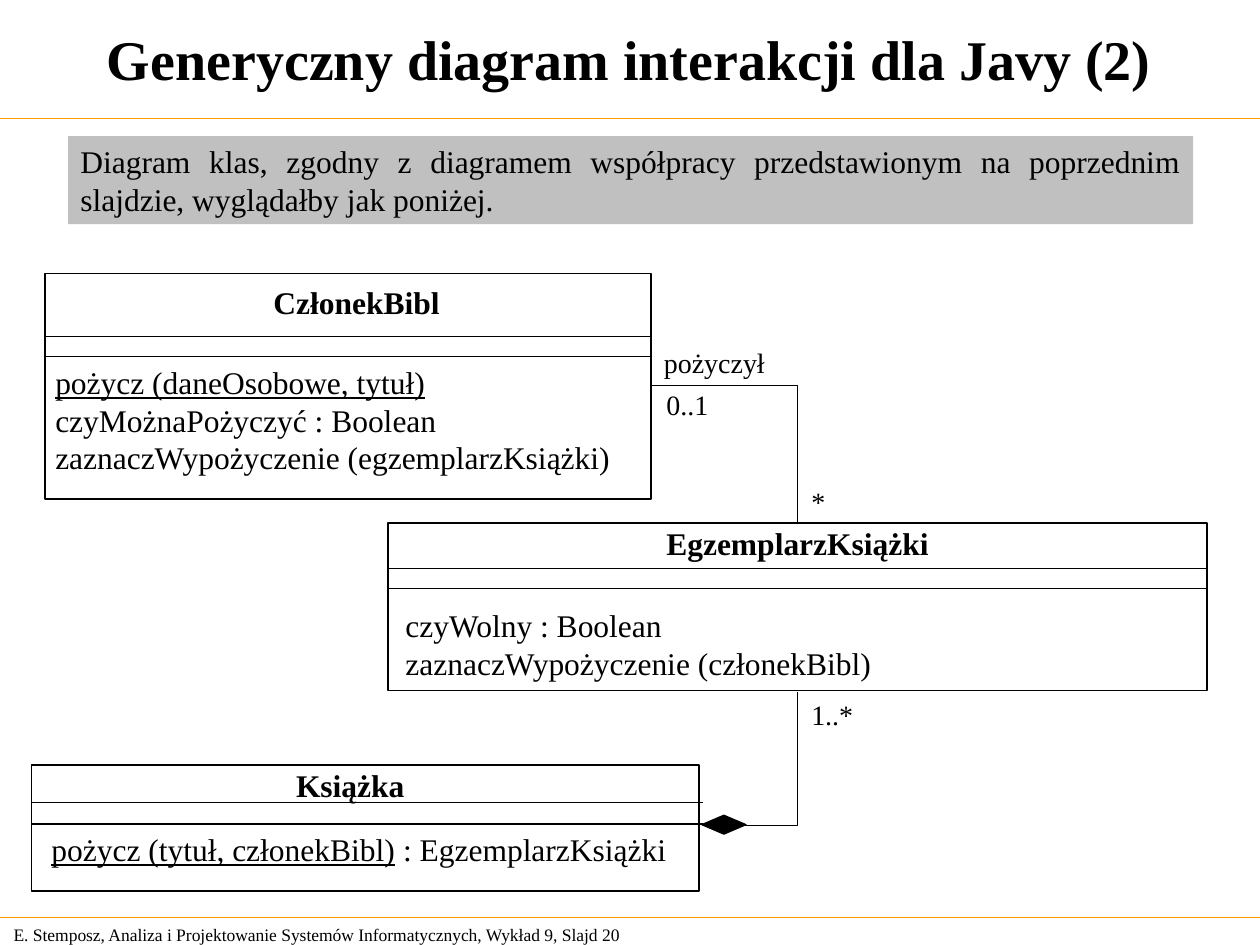
"""Build a lecture slide with a UML class diagram of a library."""
from dataclasses import dataclass

import pptx
import pptx.dml.color
import pptx.enum.shapes
import pptx.enum.text
import pptx.oxml.ns
import pptx.oxml.xmlchemy
import pptx.util

COLUMNS, ROWS = 100, 75
WIDTH, HEIGHT = pptx.util.Inches(10), pptx.util.Inches(7.5)
FONT = "Times New Roman"
BLACK, ORANGE, GREY = "000000", "FF9900", "C0C0C0"
ALIGN = pptx.enum.text.PP_ALIGN
ANCHOR = pptx.enum.text.MSO_ANCHOR
SHAPE = pptx.enum.shapes.MSO_SHAPE
CONNECTOR = pptx.enum.shapes.MSO_CONNECTOR


@dataclass(frozen=True)
class Area:
    """A rectangle in grid columns and rows."""
    column: float
    row: float
    columns: float
    rows: float

    def emu(self) -> tuple:
        """Return left, top, width and height as lengths."""
        return x(self.column), y(self.row), x(self.columns), y(self.rows)


@dataclass(frozen=True)
class Span:
    """A piece of text, underlined for a class-level operation."""
    text: str
    underline: bool = False


@dataclass(frozen=True)
class Label:
    """A text with its place and style."""
    area: Area
    lines: tuple
    size: float = 18
    bold: bool = False
    align: ALIGN = ALIGN.CENTER
    anchor: ANCHOR = ANCHOR.TOP
    wrap: bool = False
    space: float = 0


@dataclass(frozen=True)
class ClassBox:
    """A UML class with two dividers, a name and its operations."""
    area: Area
    dividers: tuple
    divider_end: float
    name: Label
    operations: Label


def x(columns: float) -> int:
    """Turn grid columns into a length."""
    return round(WIDTH * columns / COLUMNS)


def y(rows: float) -> int:
    """Turn grid rows into a length."""
    return round(HEIGHT * rows / ROWS)


def colour(code: str) -> pptx.dml.color.RGBColor:
    """Turn a hex string into a colour."""
    return pptx.dml.color.RGBColor.from_string(code)


def write(box, label: Label) -> None:
    """Fill a box with the lines of a label."""
    frame = box.text_frame
    frame.word_wrap = label.wrap
    frame.vertical_anchor = label.anchor
    for index, line in enumerate(label.lines):
        para = frame.add_paragraph() if index else frame.paragraphs[0]
        para.alignment = label.align
        para.space_after = pptx.util.Pt(label.space)
        para.font.name = FONT
        para.font.size = pptx.util.Pt(label.size)
        para.font.bold = label.bold
        para.font.color.rgb = colour(BLACK)
        for span in line:
            run = para.add_run()
            run.text = span.text
            if span.underline:
                run.font.underline = True


def draw_label(page, label: Label) -> None:
    """Draw a label as a text box."""
    write(page.shapes.add_textbox(*label.area.emu()), label)


def draw_shape(page, kind: SHAPE, area: Area, fill: str = "", line: float = 0):
    """Draw a preset shape with an optional fill and black outline."""
    shape = page.shapes.add_shape(kind, *area.emu())
    shape.shadow.inherit = False
    if fill:
        shape.fill.solid()
        shape.fill.fore_color.rgb = colour(fill)
    else:
        shape.fill.background()
    if line:
        shape.line.color.rgb = colour(BLACK)
        shape.line.width = pptx.util.Pt(line)
    else:
        shape.line.fill.background()
    return shape


def draw_line(page, start: tuple, end: tuple, code: str = BLACK, bent: bool = False) -> None:
    """Draw a straight line, or one that turns once at a right angle."""
    kind = CONNECTOR.ELBOW if bent else CONNECTOR.STRAIGHT
    line = page.shapes.add_connector(kind, x(start[0]), y(start[1]), x(end[0]), y(end[1]))
    line.line.color.rgb = colour(code)
    line.line.width = pptx.util.Pt(0.75)
    properties = line._element.spPr
    properties.append(pptx.oxml.xmlchemy.OxmlElement("a:effectLst"))
    if bent:
        properties.find(pptx.oxml.ns.qn("a:prstGeom")).set("prst", "bentConnector2")


def draw_class(page, item: ClassBox) -> None:
    """Draw a class with its compartments."""
    draw_shape(page, SHAPE.RECTANGLE, item.area, line=1)
    for row in item.dividers:
        draw_line(page, (item.area.column, row), (item.divider_end, row))
    draw_label(page, item.name)
    draw_label(page, item.operations)


def name(area: Area, text: str) -> Label:
    """Describe the bold name of a class."""
    return Label(area, ((Span(text),),), bold=True)


def operations(area: Area, *lines: tuple, wrap: bool = False) -> Label:
    """Describe the operations of a class."""
    return Label(area, lines, align=ALIGN.LEFT, wrap=wrap)


CLASSES = (
    ClassBox(Area(3.6, 21.7, 48.1, 17.9), (26.7, 28.3), 51.7,
             name(Area(20.7, 22, 15.2, 4), "CzłonekBibl"),
             operations(Area(3.4, 28.3, 46.2, 10),
                        (Span("pożycz (daneOsobowe, tytuł)", True),),
                        (Span("czyMożnaPożyczyć : Boolean"),),
                        (Span("zaznaczWypożyczenie (egzemplarzKsiążki)"),))),
    ClassBox(Area(2.5, 60.7, 53, 10), (63.7, 65.4), 55.8,
             name(Area(22.5, 60.3, 10.6, 4), "Książka"),
             operations(Area(3.1, 65.4, 50.8, 4),
                        (Span("pożycz (tytuł, członekBibl)", True),
                         Span(" : EgzemplarzKsiążki")))),
    ClassBox(Area(30.8, 41.5, 65, 13.3), (45.1, 46.7), 95.8,
             name(Area(51.9, 41.1, 22.8, 4), "EgzemplarzKsiążki"),
             operations(Area(31.2, 47.6, 62.7, 7),
                        (Span("czyWolny : Boolean"),),
                        (Span("zaznaczWypożyczenie (członekBibl)"),), wrap=True)),
)
ROLES = (
    (Area(51.7, 26.9, 10, 3.7), "pożyczył"),
    (Area(51.9, 30.3, 5.3, 3.7), "0..1"),
    (Area(63.4, 38, 3.1, 3.7), "*"),
    (Area(63.4, 54.9, 5.3, 3.7), "1..*"),
)
TITLE = Label(Area(0, 0, 99.9, 9.2), ((Span("Generyczny diagram interakcji dla Javy (2)"),),),
              size=32, bold=True, anchor=ANCHOR.MIDDLE, wrap=True)
FOOTER = Label(Area(0.1, 72.8, 52.4, 2.7),
               ((Span("E. Stemposz, Analiza i Projektowanie Systemów Informatycznych, "
                      "Wykład 9, Slajd 20"),),),
               size=10, align=ALIGN.LEFT, anchor=ANCHOR.MIDDLE, wrap=True)
INTRODUCTION = Label(Area(5.4, 10.8, 89.3, 7),
                     ((Span("Diagram klas, zgodny z diagramem współpracy przedstawionym "
                            "na poprzednim slajdzie, wyglądałby jak poniżej."),),),
                     align=ALIGN.JUSTIFY, wrap=True, space=6)


def main() -> None:
    """Build and save the deck."""
    deck = pptx.Presentation()
    deck.slide_width, deck.slide_height = WIDTH, HEIGHT
    page = deck.slides.add_slide(deck.slide_layouts[6])
    for row in (9.4, 72.8):
        draw_line(page, (0, row), (COLUMNS, row), ORANGE)
    for label in (FOOTER, TITLE):
        draw_label(page, label)
    for item in CLASSES:
        draw_class(page, item)
    for area, text in ROLES:
        draw_label(page, Label(area, ((Span(text),),), size=16))
    draw_line(page, (51.7, 30.6), (63.3, 41.5), bent=True)
    draw_line(page, (59.1, 65.5), (63.3, 54.9), bent=True)
    draw_shape(page, SHAPE.DIAMOND, Area(55.7, 64.7, 3.5, 1.5), BLACK, 0.75)
    write(draw_shape(page, SHAPE.RECTANGLE, INTRODUCTION.area, GREY), INTRODUCTION)
    deck.save("out.pptx")


if __name__ == "__main__":
    main()
